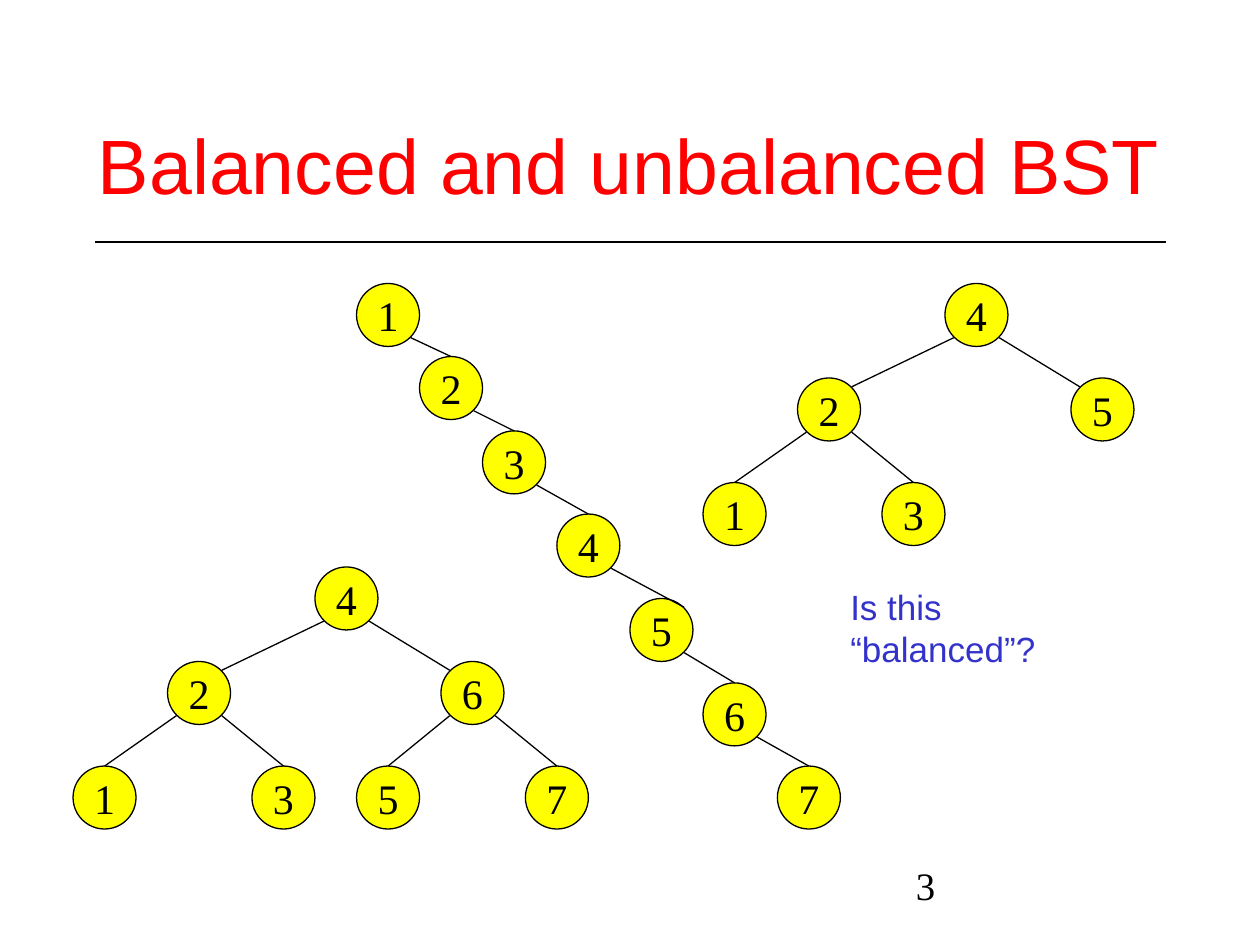
from lxml.etree import SubElement
from pptx import Presentation
from pptx.dml.color import RGBColor
from pptx.enum.shapes import MSO_CONNECTOR as Conn, MSO_SHAPE as Shape
from pptx.enum.text import MSO_ANCHOR as Anchor, PP_ALIGN as Align
from pptx.oxml.ns import qn
from pptx.util import Inches, Pt

SIZE = 0.5
HALF = SIZE / 2
DIAG = 0.18
BLACK, RED, BLUE, YELLOW = "000000", "FF0000", "3333CC", "FFFF00"
SERIF, SANS = "Times New Roman", "Arial"

TREES = [
    {
        "nodes": {4: (7.5, 2.25), 2: (6.33, 3), 5: (8.5, 3),
                  1: (5.58, 3.83), 3: (7, 3.83)},
        "edges": [(4, 2, "right"), (4, 5, "left"), (2, 1, "top"), (2, 3, "top")],
    },
    {
        "nodes": {1: (2.83, 2.25), 2: (3.33, 2.83), 3: (3.83, 3.42),
                  4: (4.42, 4.08), 5: (5, 4.75), 6: (5.58, 5.42),
                  7: (6.17, 6.08)},
        "edges": [(1, 2, "top"), (2, 3, "top"), (3, 4, "top"),
                  (4, 5, "right"), (5, 6, "top"), (6, 7, "top")],
    },
    {
        "nodes": {4: (2.5, 4.5), 2: (1.33, 5.25), 6: (3.5, 5.25),
                  1: (0.58, 6.08), 3: (2, 6.08), 5: (2.83, 6.08),
                  7: (4.17, 6.08)},
        "edges": [(4, 2, "right"), (4, 6, "left"), (2, 1, "top"),
                  (2, 3, "top"), (6, 5, "top"), (6, 7, "top")],
    },
]
ENDS = {"left": (-DIAG, -DIAG), "top": (0, -HALF), "right": (DIAG, -DIAG)}


def color(hue):
    """Turn a hex string into a colour."""
    return RGBColor.from_string(hue)


def write(shape, text, size, font, hue, align=Align.LEFT, anchor=Anchor.TOP, wrap=True):
    """Put one styled run into a shape."""
    frame = shape.text_frame
    frame.word_wrap = wrap
    frame.vertical_anchor = anchor
    para = frame.paragraphs[0]
    para.alignment = align
    run = para.add_run()
    run.text = text
    run.font.size = Pt(size)
    run.font.name = font
    run.font.color.rgb = color(hue)
    return para


def box(slide, *area):
    """Add an empty text box."""
    return slide.shapes.add_textbox(*map(Inches, area))


def rule(slide, *ends):
    """Draw a thin black line."""
    line = slide.shapes.add_connector(Conn.STRAIGHT, *map(Inches, ends))
    line.line.color.rgb = color(BLACK)
    line.line.width = Pt(0.75)
    SubElement(line._element.spPr, qn("a:effectLst"))


def node(slide, key, x, y):
    """Draw one numbered tree node."""
    oval = slide.shapes.add_shape(Shape.OVAL, *map(Inches, (x, y, SIZE, SIZE)))
    oval.shadow.inherit = False
    oval.fill.solid()
    oval.fill.fore_color.rgb = color(YELLOW)
    oval.line.color.rgb = color(BLACK)
    oval.line.width = Pt(0.75)
    write(oval, str(key), 24, SERIF, BLACK, Align.CENTER, Anchor.MIDDLE, False)


def tree(slide, nodes, edges):
    """Draw the nodes of a tree and the edges between them."""
    for key, (x, y) in nodes.items():
        node(slide, key, x, y)
    for top, low, end in edges:
        (px, py), (cx, cy) = nodes[top], nodes[low]
        side = DIAG if cx > px else -DIAG
        dx, dy = ENDS[end]
        rule(slide, px + HALF + side, py + HALF + DIAG,
             cx + HALF + dx, cy + HALF + dy)


def main():
    """Build the slide and save it."""
    deck = Presentation()
    deck.slide_width, deck.slide_height = Inches(10), Inches(7.5)
    slide = deck.slides.add_slide(deck.slide_layouts[6])
    rule(slide, 0.75, 1.92, 9.25, 1.92)
    page = write(box(slide, 7.17, 6.83, 2.08, 0.5), "3", 22.2, SERIF, BLACK)
    page.line_spacing = 0.9
    write(box(slide, 0.58, 0.67, 8.83, 1.25), "Balanced and unbalanced BST",
          44, SANS, RED, Align.CENTER, Anchor.MIDDLE)
    for part in TREES:
        tree(slide, **part)
    write(box(slide, 6.65, 4.6, 2.47, 0.44), "Is this “balanced”?",
          20, SANS, BLUE, wrap=False)
    deck.save("out.pptx")


if __name__ == "__main__":
    main()
